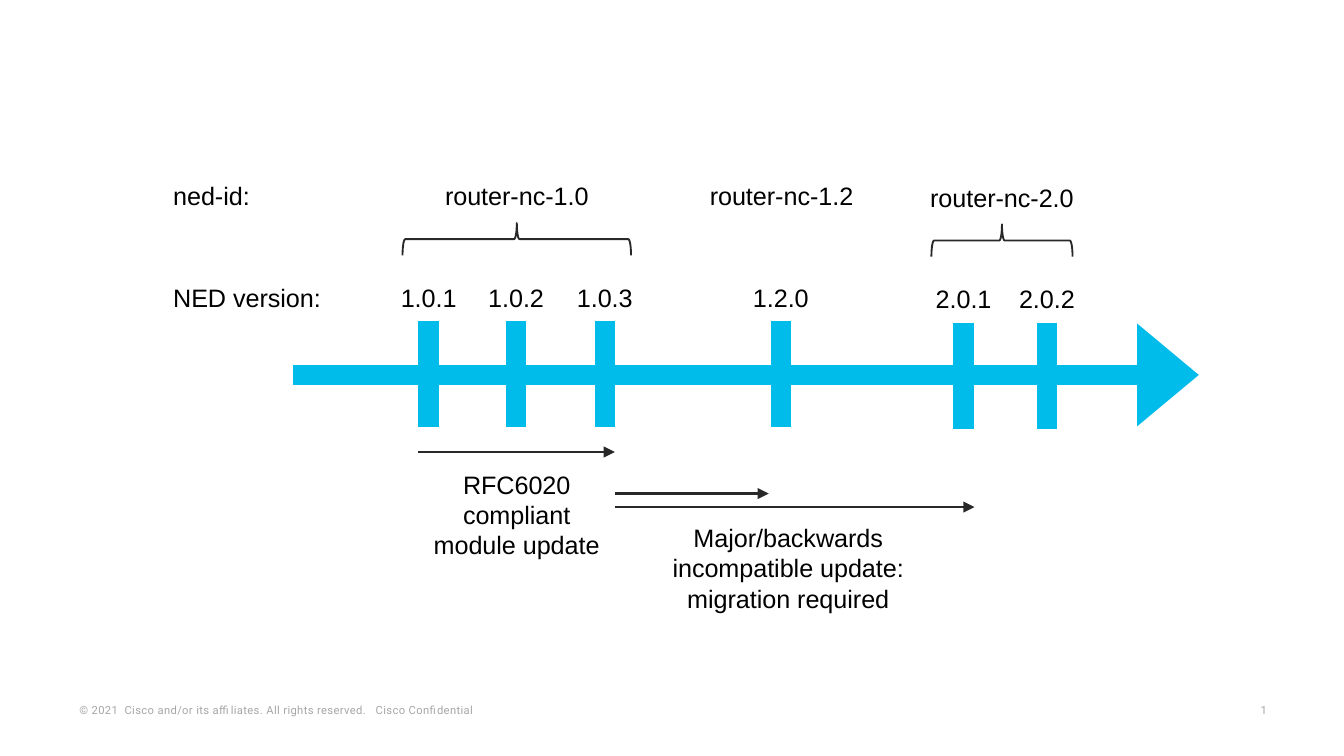
from pptx import Presentation
from pptx.dml.color import RGBColor
from pptx.enum.shapes import MSO_CONNECTOR, MSO_SHAPE
from pptx.enum.text import MSO_ANCHOR, PP_ALIGN
from pptx.oxml.ns import qn
from pptx.util import Inches, Pt
from lxml import etree

STRAIGHT = MSO_CONNECTOR.STRAIGHT
BRACE = MSO_SHAPE.LEFT_BRACE
BOTTOM = MSO_ANCHOR.BOTTOM
LEFT, CENTER = PP_ALIGN.LEFT, PP_ALIGN.CENTER
BLUE = RGBColor(0x00, 0xBC, 0xEB)
DARK = RGBColor(0x28, 0x28, 0x28)
BLACK = RGBColor(0x00, 0x00, 0x00)
GREY = RGBColor(0xA6, 0xA6, 0xA6)

prs = Presentation()
prs.slide_width = Inches(10)
prs.slide_height = prs.slide_width * 9 // 16
s = prs.slides.add_slide(prs.slide_layouts[6])
U = prs.slide_width / 100  # grid unit: 100 columns across the slide


def add_text(x, y, w, h, lines, align=CENTER, wrap=False, footer=False):
    sp = s.shapes.add_textbox(*(int(v * U) for v in (x, y, w, h)))
    tf = sp.text_frame
    tf.word_wrap = wrap
    if footer:
        tf.vertical_anchor = BOTTOM
        tf.margin_left = tf.margin_right = Inches(0.07)
        tf.margin_top = tf.margin_bottom = Inches(0.03)
    tf.text = lines
    for p in tf.paragraphs:
        p.alignment = align
        p.font.name = "Roboto" if footer else "Arial"
        p.font.size = Pt(6 if footer else 13.5)
        p.font.color.rgb = GREY if footer else BLACK
        if footer:
            p.runs[0].font._element.set("spc", "20")


def add_line(x1, y1, x2, y2, color, width, head=None):
    c = s.shapes.add_connector(STRAIGHT, *(int(v * U) for v in (x1, y1, x2, y2)))
    c.line.color.rgb = color
    c.line.width = Pt(width)
    if head:
        etree.SubElement(c.line._get_or_add_ln(), qn("a:tailEnd"),
                         type="triangle", w=head)
    etree.SubElement(c._element.spPr, qn("a:effectLst"))


# Footer
add_text(5.2, 51.9, 37.2, 1.7,
         "© 2021  Cisco and/or its affiliates. All rights reserved.   Cisco Confidential",
         LEFT, wrap=True, footer=True)
add_text(93.1, 51.9, 2.4, 1.7, "1", LEFT, footer=True)

# Timeline with one tick and label per version
add_line(21.8, 27.9, 89.2, 27.9, BLUE, 11, head="lg")
versions = [("1.0.1", 31.9, 20.5), ("1.0.2", 38.4, 20.5), ("1.0.3", 45, 20.5),
            ("1.2.0", 58.1, 20.5), ("2.0.1", 71.7, 20.6), ("2.0.2", 77.9, 20.6)]
for version, x, y in versions:
    add_line(x, y + 3.4, x, y + 11.3, BLUE, 11)
    add_text(x - 3.1, y, 6.2, 3.3, version)

# Row headings
add_text(11.9, 12.9, 7.8, 3.3, "ned-id:", LEFT)
add_text(11.9, 20.5, 13.2, 3.3, "NED version:", LEFT)

# Identifier of each version group, with a brace over groups of several
for ned_id, x, y, span in [("router-nc-1.0", 38.45, 12.95, 17),
                           ("router-nc-1.2", 58.15, 12.95, 0),
                           ("router-nc-2.0", 74.55, 13.05, 10.5)]:
    add_text(x - 6.45, y, 12.9, 3.3, ned_id)
    if span:
        sp = s.shapes.add_shape(BRACE, int((x - 1.2) * U),
                                int((y + 4.85 - span / 2) * U),
                                int(2.4 * U), int(span * U))
        sp.rotation = 90
        sp.shadow.inherit = False
        sp.fill.background()
        sp.line.color.rgb = DARK
        sp.line.width = Pt(1)

# Update arrows and their descriptions
for x1, x2, y in [(31.1, 45.75, 33.63), (45.75, 57.2, 36.73), (45.75, 72.5, 37.73)]:
    add_line(x1, y, x2, y, DARK, 1.5, head="med")
add_text(31.15, 34.42, 14.6, 7.8, "RFC6020\ncompliant\nmodule update", wrap=True)
add_text(47.55, 38.38, 22.2, 7.8,
         "Major/backwards incompatible update: migration required", wrap=True)

prs.save("out.pptx")
